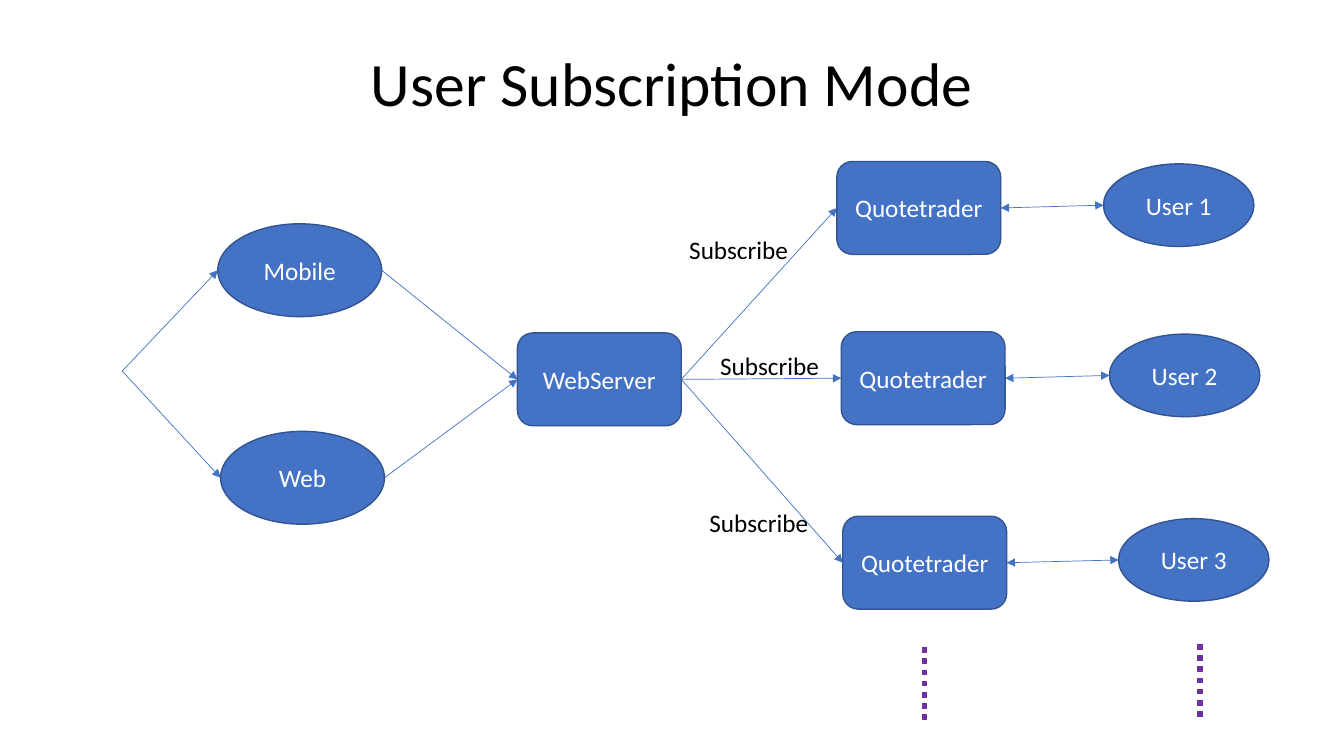
from lxml import etree
from pptx import Presentation
from pptx.dml.color import RGBColor
from pptx.enum.dml import MSO_LINE
from pptx.enum.shapes import MSO_CONNECTOR, MSO_SHAPE
from pptx.enum.text import MSO_ANCHOR as ANCHOR, PP_ALIGN as ALIGN
from pptx.oxml.ns import qn
from pptx.util import Cm, Pt

BLUE = RGBColor(0x44, 0x72, 0xC4)
EDGE = RGBColor(0x32, 0x54, 0x91)
PURPLE = RGBColor(0x70, 0x30, 0xA0)
BLACK = RGBColor(0, 0, 0)
WHITE = RGBColor(255, 255, 255)

BOX = (4.13, 2.34)
USER = (3.79, 2.08)


def write(tf, text, size=18, color=BLACK, align=ALIGN.LEFT,
          anchor=ANCHOR.TOP, spacing=None):
    tf.word_wrap = True
    tf.vertical_anchor = anchor
    p = tf.paragraphs[0]
    p.alignment = align
    p.line_spacing = spacing
    r = p.add_run()
    r.text = text
    r.font.name = "Calibri"
    r.font.size = Pt(size)
    r.font.color.rgb = color


def add_text(s, text, x, y, w, h, **fmt):
    tb = s.shapes.add_textbox(Cm(x), Cm(y), Cm(w), Cm(h))
    write(tb.text_frame, text, **fmt)


def add_node(s, kind, text, x, y, size=BOX):
    sp = s.shapes.add_shape(kind, Cm(x), Cm(y), *map(Cm, size))
    sp.shadow.inherit = False
    sp.fill.solid()
    sp.fill.fore_color.rgb = BLUE
    sp.line.color.rgb = EDGE
    sp.line.width = Pt(1)
    write(sp.text_frame, text, color=WHITE, align=ALIGN.CENTER,
          anchor=ANCHOR.MIDDLE)
    return sp


def left(sp):
    return sp.left, sp.top + sp.height // 2


def right(sp):
    return sp.left + sp.width, sp.top + sp.height // 2


def add_line(s, start, end, color=BLUE, width=0.5, dash=None, arrows=()):
    c = s.shapes.add_connector(MSO_CONNECTOR.STRAIGHT, *start, *end)
    c.line.color.rgb = color
    c.line.width = Pt(width)
    if dash:
        c.line.dash_style = dash
    ln = c._element.spPr.find(qn("a:ln"))
    for tag in arrows:
        etree.SubElement(ln, qn(tag), type="triangle")
    etree.SubElement(c._element.spPr, qn("a:effectLst"))


def add_arrow(s, start, end, both=False):
    arrows = ("a:headEnd", "a:tailEnd") if both else ("a:tailEnd",)
    add_line(s, start, end, arrows=arrows)


def main():
    prs = Presentation()
    prs.slide_width, prs.slide_height = Cm(33.87), Cm(19.05)
    s = prs.slides.add_slide(prs.slide_layouts[6])

    # Title
    add_text(s, "User Subscription Mode", 2.33, 1.01, 29.21, 2.34, size=44,
             align=ALIGN.CENTER, anchor=ANCHOR.MIDDLE, spacing=0.9)

    # Clients and the web server
    web_server = add_node(s, MSO_SHAPE.ROUNDED_RECTANGLE, "WebServer",
                          13.04, 8.39)
    fork = Cm(3.08), Cm(9.35)
    for name, x, y in (("Mobile", 5.49, 5.64), ("Web", 5.56, 10.87)):
        client = add_node(s, MSO_SHAPE.OVAL, name, x, y)
        add_arrow(s, fork, left(client))
        add_arrow(s, right(client), left(web_server))

    # Subscribed traders, each paired with a user
    rows = (
        (21.09, 4.07, 27.81, 17.12, 5.77),
        (21.2, 8.36, 27.96, 17.9, 8.71),
        (21.24, 13.01, 28.19, 17.63, 12.65),
    )
    for i, (trader_x, y, user_x, label_x, label_y) in enumerate(rows, 1):
        trader = add_node(s, MSO_SHAPE.ROUNDED_RECTANGLE, "Quotetrader",
                          trader_x, y)
        user = add_node(s, MSO_SHAPE.OVAL, f"User {i}", user_x, y + 0.06,
                        USER)
        add_arrow(s, right(web_server), left(trader))
        add_arrow(s, left(user), right(trader), both=True)
        add_text(s, "Subscribe", label_x, label_y, 3.43, 1.03)

    # Dotted lines: more traders and users follow
    for x, y in ((23.3, 16.31), (30.24, 16.23)):
        add_line(s, (Cm(x), Cm(y)), (Cm(x), Cm(y + 1.95)), color=PURPLE,
                 width=4, dash=MSO_LINE.ROUND_DOT)

    prs.save("out.pptx")


main()
